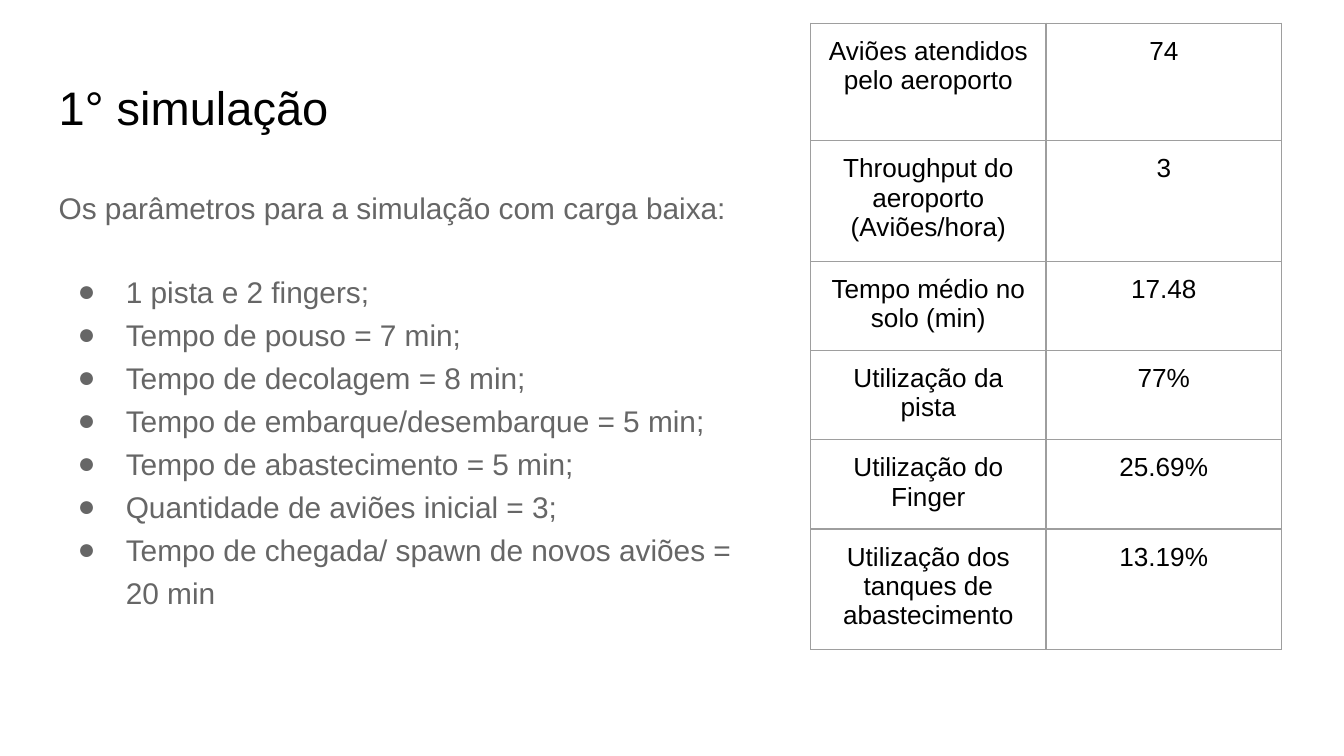
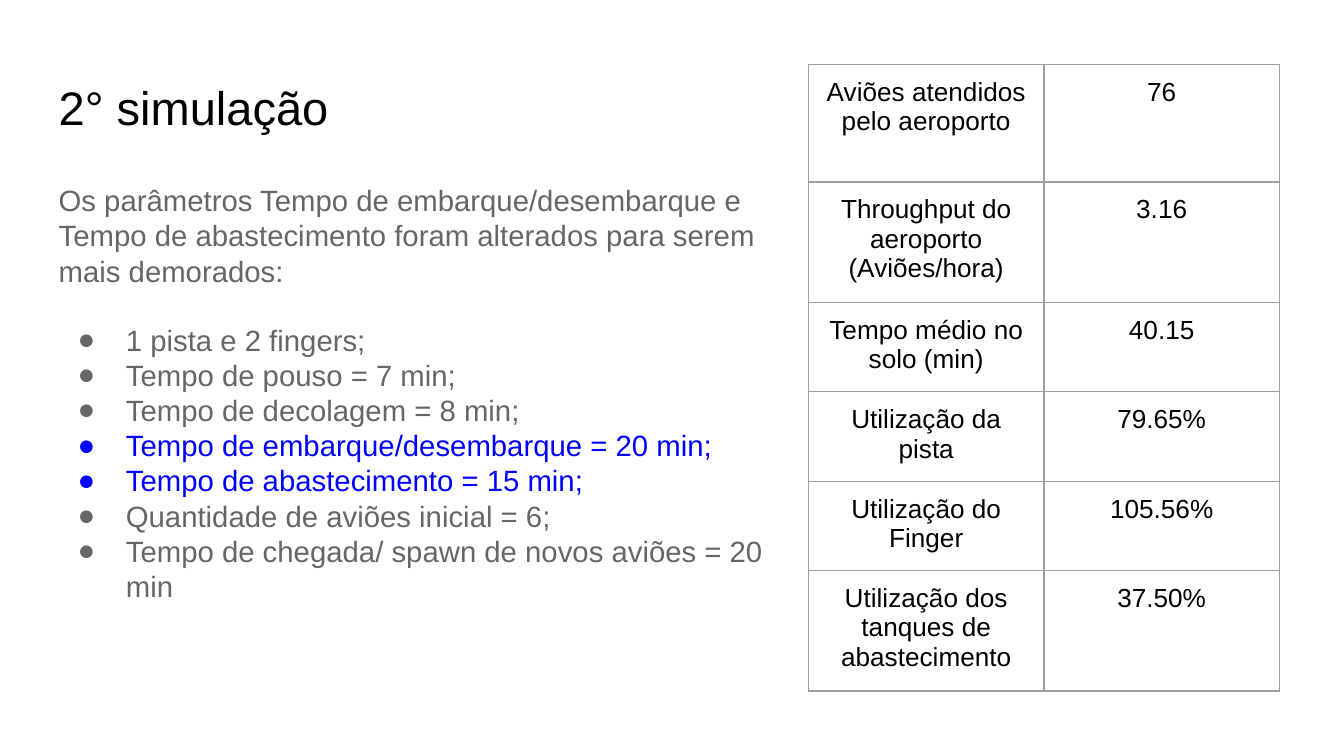
from lxml.etree import SubElement
from pptx import Presentation
from pptx.dml.color import RGBColor
from pptx.enum.text import MSO_ANCHOR, PP_ALIGN
from pptx.oxml.ns import qn
from pptx.util import Cm, Pt

FONT = "Arial"
BLACK, GREY, BLUE, BORDER = "000000", "666666", "0000FF", "9E9E9E"
INSET = Cm(0.25)
BULLET_INDENT, BULLET_HANG = Cm(1.27), Cm(0.91)
LEFT = 0.86
COLUMN_WIDTH = 4.45
SHORT_ROW, TALL_ROW = 1.65, 2.22
METRICS = [
    ("Aviões atendidos pelo aeroporto", TALL_ROW),
    ("Throughput do aeroporto (Aviões/hora)", TALL_ROW),
    ("Tempo médio no solo (min)", SHORT_ROW),
    ("Utilização da pista", SHORT_ROW),
    ("Utilização do Finger", SHORT_ROW),
    ("Utilização dos tanques de abastecimento", TALL_ROW),
]


def color(hex_string):
    """Turn a hex string into a colour."""
    return RGBColor.from_string(hex_string)


def write(paragraph, text, size, hex_string):
    """Set the text of a paragraph and format its runs."""
    paragraph.text = text
    for run in paragraph.runs:
        run.font.name = FONT
        run.font.size = Pt(size)
        run.font.color.rgb = color(hex_string)


def add_text_frame(slide, left, top, width, height):
    """Add a wrapping text box and return its text frame."""
    box = slide.shapes.add_textbox(Cm(left), Cm(top), Cm(width), Cm(height))
    frame = box.text_frame
    frame.word_wrap = True
    frame.vertical_anchor = MSO_ANCHOR.TOP
    frame.margin_left = frame.margin_right = INSET
    frame.margin_top = frame.margin_bottom = INSET
    return frame


def add_bullet(paragraph, hex_string):
    """Give a paragraph a hanging round bullet."""
    properties = paragraph._p.get_or_add_pPr()
    properties.set("marL", str(BULLET_INDENT))
    properties.set("indent", str(-BULLET_HANG))
    bullet_color = SubElement(properties, qn("a:buClr"))
    SubElement(bullet_color, qn("a:srgbClr"), val=hex_string)
    SubElement(properties, qn("a:buFont"), typeface=FONT)
    SubElement(properties, qn("a:buChar"), char="●")


def add_title(slide, title):
    """Add the slide title."""
    frame = add_text_frame(slide, LEFT, 1.24, 23.67, 1.6)
    write(frame.paragraphs[0], title, 25.2, BLACK)


def add_parameters(slide, width, intro, items, size, spacing, changed):
    """Add the introduction and the bulleted parameters, changed ones in blue."""
    frame = add_text_frame(slide, LEFT, 3.2, width, 9.5)
    first = frame.paragraphs[0]
    write(first, intro, size, GREY)
    first.line_spacing = spacing
    first.space_after = Pt(round(size * spacing * 1.15, 1))
    for item in items:
        paragraph = frame.add_paragraph()
        item_color = BLUE if item in changed else GREY
        write(paragraph, item, size, item_color)
        paragraph.line_spacing = spacing
        add_bullet(paragraph, item_color)


def format_cell(cell, text):
    """Fill in a centred, bordered table cell."""
    write(cell.text_frame.paragraphs[0], text, 14, BLACK)
    cell.text_frame.paragraphs[0].alignment = PP_ALIGN.CENTER
    cell.vertical_anchor = MSO_ANCHOR.TOP
    cell.margin_left = cell.margin_right = INSET
    cell.margin_top = cell.margin_bottom = INSET
    properties = cell._tc.get_or_add_tcPr()
    for side in ("a:lnL", "a:lnR", "a:lnT", "a:lnB"):
        line = SubElement(properties, qn(side), w=str(Pt(0.75)))
        fill = SubElement(line, qn("a:solidFill"))
        SubElement(fill, qn("a:srgbClr"), val=BORDER)
    cell.fill.background()


def add_results(slide, left, top, values):
    """Add the table that pairs each metric with its result."""
    height = sum(row_height for _, row_height in METRICS)
    table = slide.shapes.add_table(
        len(METRICS), 2, Cm(left), Cm(top), Cm(2 * COLUMN_WIDTH), Cm(height)
    ).table
    table.first_row = table.horz_banding = False
    for column in table.columns:
        column.width = Cm(COLUMN_WIDTH)
    for index, ((metric, row_height), value) in enumerate(zip(METRICS, values)):
        table.rows[index].height = Cm(row_height)
        format_cell(table.cell(index, 0), metric)
        format_cell(table.cell(index, 1), value)


def parameter_items(boarding, refuelling, planes):
    """List the simulation parameters with the values that vary."""
    return [
        "1 pista e 2 fingers;",
        "Tempo de pouso = 7 min;",
        "Tempo de decolagem = 8 min;",
        f"Tempo de embarque/desembarque = {boarding} min;",
        f"Tempo de abastecimento = {refuelling} min;",
        f"Quantidade de aviões inicial = {planes};",
        "Tempo de chegada/ spawn de novos aviões = 20 min",
    ]


def add_simulation(presentation, title, parameters, results):
    """Add one simulation slide: title, parameters and results."""
    slide = presentation.slides.add_slide(presentation.slide_layouts[6])
    add_title(slide, title)
    add_parameters(slide, **parameters)
    add_results(slide, **results)


presentation = Presentation()
presentation.slide_width, presentation.slide_height = Cm(25.4), Cm(14.29)

add_simulation(
    presentation,
    "1° simulação",
    dict(
        width=13.34,
        intro="Os parâmetros para a simulação com carga baixa:",
        items=parameter_items(5, 5, 3),
        size=16,
        spacing=1.2,
        changed=[],
    ),
    dict(left=15.32, top=0.44,
         values=["74", "3", "17.48", "77%", "25.69%", "13.19%"]),
)

slower_items = parameter_items(20, 15, 6)
add_simulation(
    presentation,
    "2° simulação",
    dict(
        width=13.94,
        intro="Os parâmetros Tempo de embarque/desembarque e Tempo de "
              "abastecimento foram alterados para serem mais demorados:",
        items=slower_items,
        size=15.7,
        spacing=1.0,
        changed=slower_items[3:5],
    ),
    dict(left=15.28, top=1.22,
         values=["76", "3.16", "40.15", "79.65%", "105.56%", "37.50%"]),
)

presentation.save("out.pptx")
